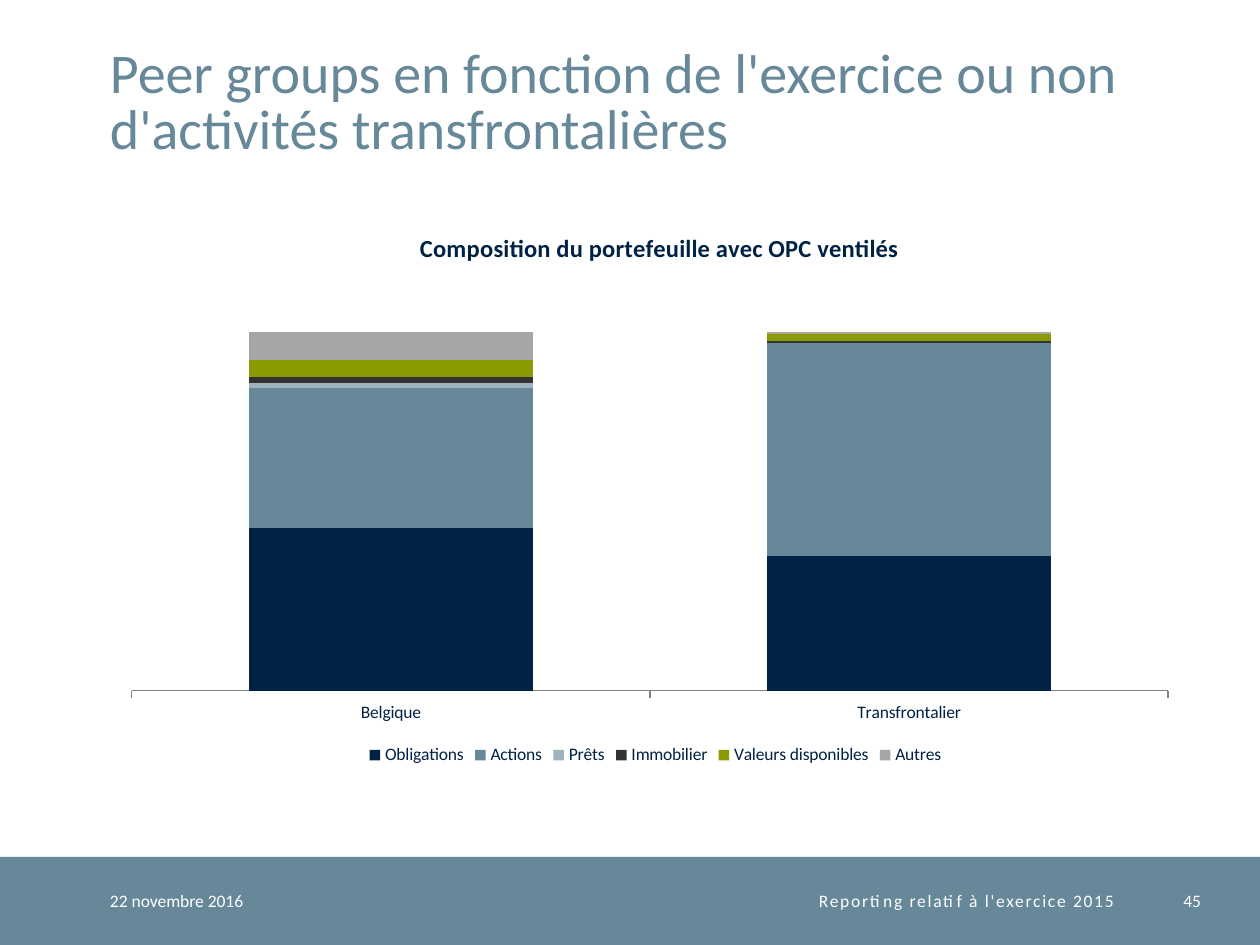
import pptx
import pptx.chart.data
import pptx.dml.color
import pptx.enum.chart
import pptx.enum.shapes
import pptx.enum.text
import pptx.oxml
import pptx.oxml.ns
import pptx.util

EMU_PER_PX = 914400 // 126
FONT = "Calibri"
NAVY, SLATE, WHITE, GREY = "002244", "668899", "FFFFFF", "808080"
LEFT = 110
FOOTER_TOP, FOOTER_HEIGHT = 857, 88

CATEGORIES = ["Belgique", "Transfrontalier"]
ASSETS = [
    ("Obligations", (76, 63), NAVY),
    ("Actions", (66, 100), SLATE),
    ("Prêts", (2, 0), "9EB3BE"),
    ("Immobilier", (3, 1), "333333"),
    ("Valeurs disponibles", (8, 3), "8B9A00"),
    ("Autres", (13, 1), "A6A6A6"),
]
STACK_TOTAL = 168


def px(length):
    return pptx.util.Emu(length * EMU_PER_PX)


def color(hex_string):
    return pptx.dml.color.RGBColor.from_string(hex_string)


def manual_layout(**values):
    """Return a c:layout element that places a chart part by fractions of the chart."""
    parts = "".join(f'<c:{name} val="{value}"/>' for name, value in values.items())
    namespace = pptx.oxml.ns.nsdecls("c")
    return pptx.oxml.parse_xml(
        f"<c:layout {namespace}><c:manualLayout>{parts}</c:manualLayout></c:layout>"
    )


class SlideBuilder:
    def __init__(self, slide):
        self.slide = slide

    def style_font(self, font, size, hex_string, bold=False):
        font.name = FONT
        font.size = pptx.util.Pt(size)
        font.bold = bold
        font.color.rgb = color(hex_string)

    def band(self, left, top, width, height, fill):
        shape = self.slide.shapes.add_shape(
            pptx.enum.shapes.MSO_SHAPE.RECTANGLE, px(left), px(top), px(width), px(height)
        )
        shape.shadow.inherit = False
        shape.fill.solid()
        shape.fill.fore_color.rgb = color(fill)
        shape.line.fill.background()

    def text(self, words, left, top, width, height, size, hex_string,
             align="LEFT", anchor="MIDDLE", line_points=None, tracking=None):
        box = self.slide.shapes.add_textbox(px(left), px(top), px(width), px(height))
        frame = box.text_frame
        frame.word_wrap = True
        frame.margin_left = frame.margin_right = frame.margin_top = frame.margin_bottom = 0
        frame.vertical_anchor = pptx.enum.text.MSO_ANCHOR[anchor]
        frame.text = words
        paragraph = frame.paragraphs[0]
        paragraph.alignment = pptx.enum.text.PP_ALIGN[align]
        if line_points:
            paragraph.line_spacing = pptx.util.Pt(line_points)
        run = paragraph.runs[0]
        self.style_font(run.font, size, hex_string)
        if tracking:
            run._r.get_or_add_rPr().set("spc", str(tracking * 100))

    def stacked_chart(self, title, left, top, width, height):
        data = pptx.chart.data.CategoryChartData()
        data.categories = CATEGORIES
        for name, values, _ in ASSETS:
            data.add_series(name, values)
        chart = self.slide.shapes.add_chart(
            pptx.enum.chart.XL_CHART_TYPE.COLUMN_STACKED,
            px(left), px(top), px(width), px(height), data,
        ).chart
        self.style_font(chart.font, 10, NAVY)

        chart.has_title = True
        chart.chart_title.text_frame.text = title
        title_run = chart.chart_title.text_frame.paragraphs[0].runs[0]
        self.style_font(title_run.font, 14, NAVY, bold=True)
        chart.chart_title.include_in_layout = False
        title_element = chart.chart_title._element
        for old_layout in title_element.findall(pptx.oxml.ns.qn("c:layout")):
            title_element.remove(old_layout)
        title_element.find(pptx.oxml.ns.qn("c:tx")).addnext(
            manual_layout(xMode="edge", yMode="edge", x=0.28, y=0.04)
        )

        chart.has_legend = True
        chart.legend.position = pptx.enum.chart.XL_LEGEND_POSITION.BOTTOM
        chart.legend.include_in_layout = False

        plot = chart.plots[0]
        plot.gap_width = 82
        plot.overlap = 100
        plot.vary_by_categories = False
        for series, (_, _, fill) in zip(plot.series, ASSETS):
            series.format.fill.solid()
            series.format.fill.fore_color.rgb = color(fill)

        chart.category_axis.format.line.color.rgb = color(GREY)
        chart.category_axis.major_tick_mark = pptx.enum.chart.XL_TICK_MARK.OUTSIDE
        value_axis = chart.value_axis
        value_axis.visible = False
        value_axis.has_major_gridlines = False
        value_axis.minimum_scale = 0
        value_axis.maximum_scale = STACK_TOTAL * 1.2

        plot_area = chart._chartSpace.chart.plotArea
        for old_layout in plot_area.findall(pptx.oxml.ns.qn("c:layout")):
            plot_area.remove(old_layout)
        plot_area.insert(0, manual_layout(
            layoutTarget="inner", xMode="edge", yMode="edge", x=0.02, y=0.1, w=0.95, h=0.76
        ))


def main():
    presentation = pptx.Presentation()
    presentation.slide_width = pptx.util.Inches(10)
    presentation.slide_height = pptx.util.Inches(7.5)
    builder = SlideBuilder(presentation.slides.add_slide(presentation.slide_layouts[6]))

    builder.band(0, FOOTER_TOP, 1260, FOOTER_HEIGHT, SLATE)
    footers = [
        ("22 novembre 2016", LEFT, 223, "LEFT", None),
        ("Reporting relatif à l'exercice 2015", 333, 781, "RIGHT", 1),
        ("45", 1139, 62, "RIGHT", None),
    ]
    for words, left, width, align, tracking in footers:
        builder.text(words, left, FOOTER_TOP, width, FOOTER_HEIGHT, 10, WHITE,
                     align=align, tracking=tracking)

    builder.text("Peer groups en fonction de l'exercice ou non d'activités transfrontalières",
                 LEFT, 25, 1087, 136, 32, SLATE, anchor="BOTTOM", line_points=32)
    builder.stacked_chart("Composition du portefeuille avec OPC ventilés", LEFT, 204, 1091, 566)
    presentation.save("out.pptx")


if __name__ == "__main__":
    main()
